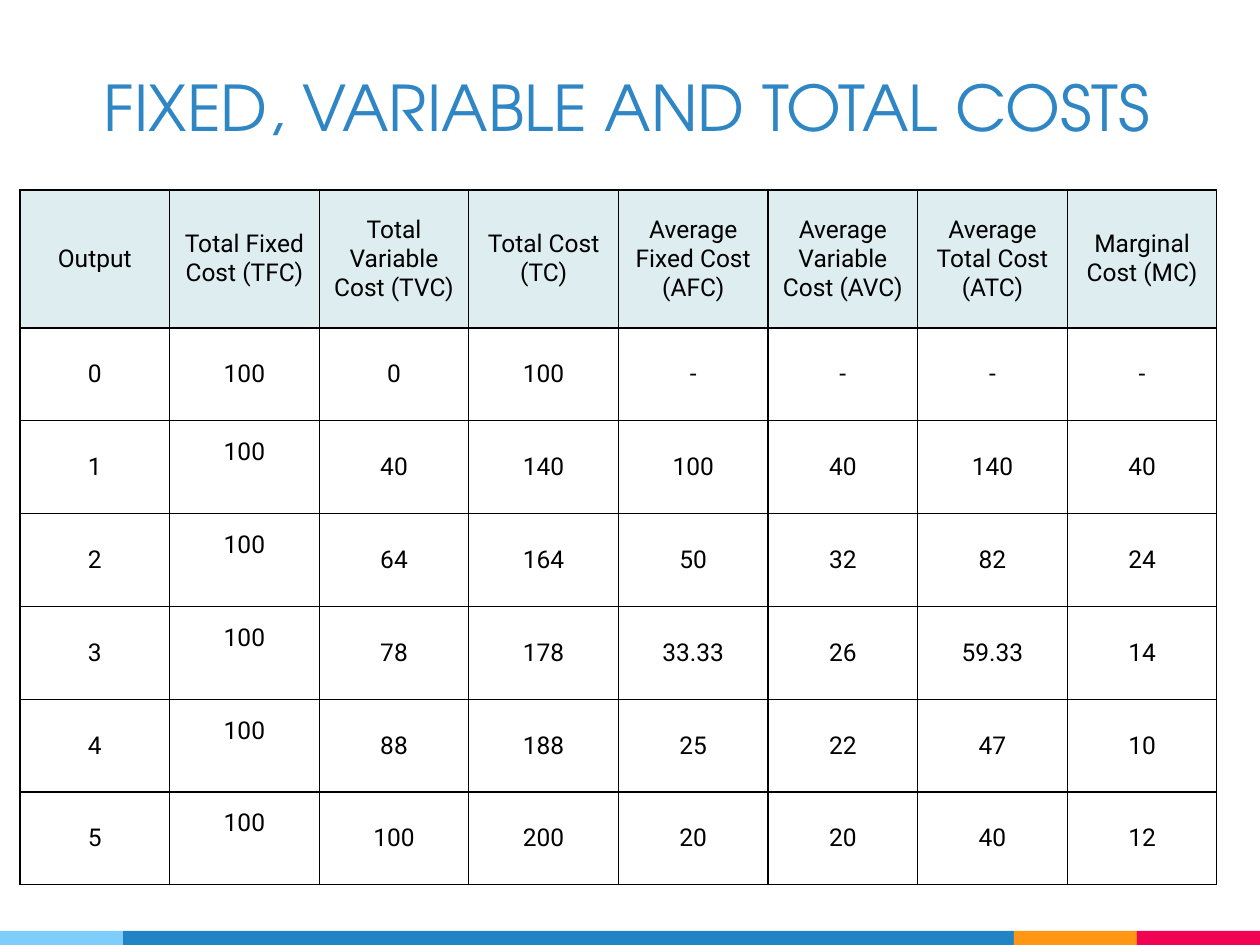
from lxml.etree import SubElement
from pptx import Presentation
from pptx.dml.color import RGBColor
from pptx.enum.shapes import MSO_SHAPE
from pptx.enum.text import MSO_ANCHOR, MSO_AUTO_SIZE, PP_ALIGN
from pptx.oxml.ns import qn
from pptx.util import Emu, Pt


def px(length):
    """Turn slide pixels (126 to the inch) into EMU."""
    return Emu(round(length * 914400 / 126))


def color(hex_string):
    return RGBColor.from_string(hex_string)


prs = Presentation()
prs.slide_width, prs.slide_height = px(1260), px(945)
slide = prs.slides.add_slide(prs.slide_layouts[5])

# Footer stripe
stripe = [(0, 123, "7ECEFD"), (123, 1014, "2185C5"),
          (1014, 1137, "FF9715"), (1137, 1260, "F20253")]
for left, right, fill in stripe:
    band = slide.shapes.add_shape(MSO_SHAPE.RECTANGLE, px(left), px(931),
                                  px(right - left), px(14))
    band.shadow.inherit = False
    band.fill.solid()
    band.fill.fore_color.rgb = color(fill)
    band.line.fill.background()

# Title
title = slide.shapes.title
title.left, title.top, title.width, title.height = px(91), px(0), px(1094), px(157)
heading = title.text_frame
heading.text = "FIXED, VARIABLE AND TOTAL COSTS"
heading.word_wrap = True
heading.auto_size = MSO_AUTO_SIZE.NONE
heading.vertical_anchor = MSO_ANCHOR.BOTTOM
heading.margin_left = heading.margin_right = px(13)
heading.margin_top = heading.margin_bottom = px(13)
heading.paragraphs[0].alignment = PP_ALIGN.LEFT
heading_font = heading.paragraphs[0].font
heading_font.name, heading_font.size = "TeX Gyre Adventor", Pt(36)
heading_font.color.rgb = color("2F86C5")

# Cost table
costs = [
    ["Output", "Total Fixed Cost (TFC)", "Total Variable Cost (TVC)", "Total Cost (TC)",
     "Average Fixed Cost (AFC)", "Average Variable Cost (AVC)",
     "Average Total Cost (ATC)", "Marginal Cost (MC)"],
    ["0", "100", "0", "100", "-", "-", "-", "-"],
    ["1", "100", "40", "140", "100", "40", "140", "40"],
    ["2", "100", "64", "164", "50", "32", "82", "24"],
    ["3", "100", "78", "178", "33.33", "26", "59.33", "14"],
    ["4", "100", "88", "188", "25", "22", "47", "10"],
    ["5", "100", "100", "200", "20", "20", "40", "12"],
]
FIXED_COST_COLUMN = 1
table = slide.shapes.add_table(len(costs), len(costs[0]), px(20), px(190),
                               px(1197), px(695)).table
for column in table.columns:
    column.width = px(1197) // len(costs[0])
for r, row in enumerate(table.rows):
    row.height = px(138) if r == 0 else px(557) // (len(costs) - 1)

for r, values in enumerate(costs):
    for c, value in enumerate(values):
        cell = table.cell(r, c)
        cell.text = value
        cell.vertical_anchor = MSO_ANCHOR.MIDDLE
        cell.margin_left = cell.margin_right = px(12)
        if r > 1 and c == FIXED_COST_COLUMN:
            cell.margin_bottom = px(36)  # these values sit above the row's middle
        paragraph = cell.text_frame.paragraphs[0]
        paragraph.alignment = PP_ALIGN.CENTER
        paragraph.font.name, paragraph.font.size = "Roboto", Pt(14)
        paragraph.font.bold = False
        paragraph.font.color.rgb = color("000000")
        properties = cell._tc.get_or_add_tcPr()
        for side in ("a:lnL", "a:lnR", "a:lnT", "a:lnB"):
            border = SubElement(properties, qn(side), w=str(Pt(0.75)))
            SubElement(SubElement(border, qn("a:solidFill")), qn("a:srgbClr"), val="000000")
        if r == 0:
            cell.fill.solid()
            cell.fill.fore_color.rgb = color("DDEDF0")
        else:
            cell.fill.background()

prs.save("out.pptx")
